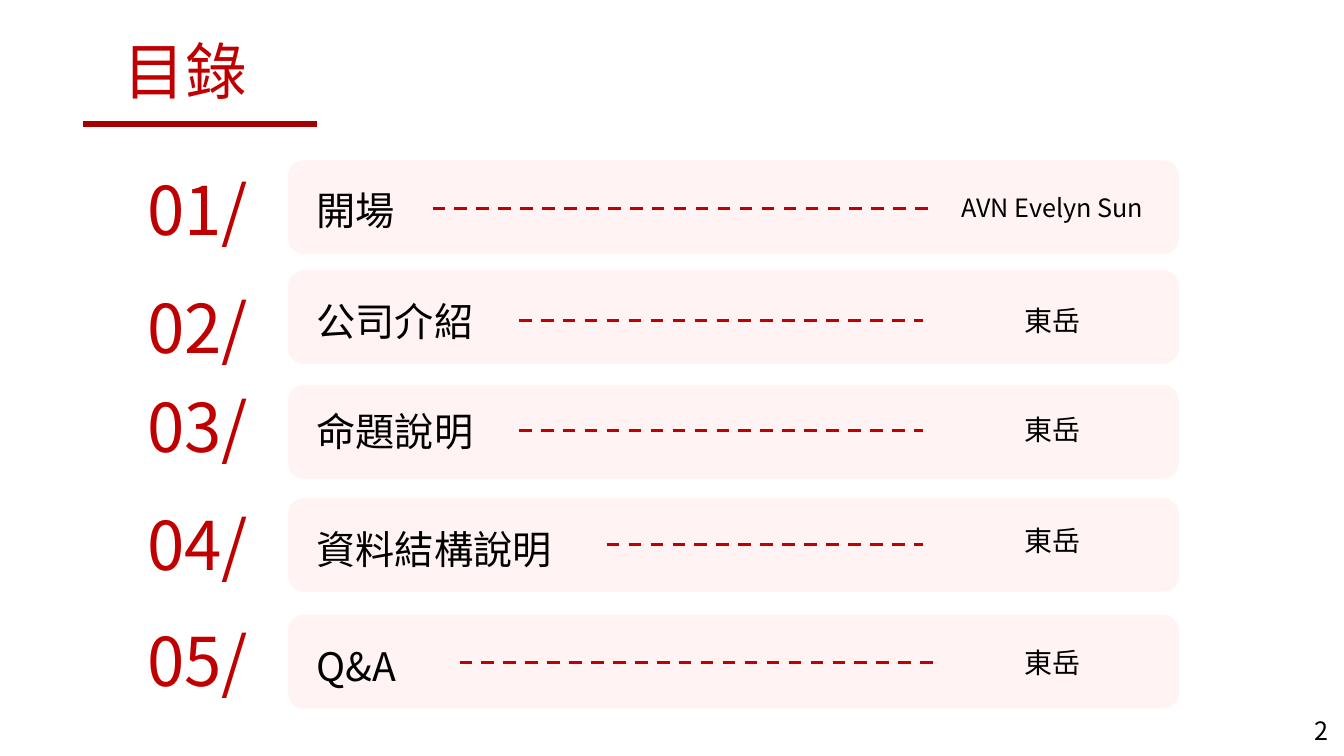
from pptx import Presentation
from pptx.dml.color import RGBColor
from pptx.enum.dml import MSO_LINE
from pptx.enum.shapes import MSO_CONNECTOR, MSO_SHAPE
from pptx.enum.text import MSO_ANCHOR as ANCHOR, MSO_AUTO_SIZE as FIT, PP_ALIGN as ALIGN
from pptx.oxml.ns import qn
from pptx.util import Cm, Pt
from lxml.etree import SubElement

COLORS = {"red": "C00000", "rule": "A60000", "panel": "FFF3F3", "ink": "000000"}
FONT = "Noto Sans CJK SC"

GROWING = {"word_wrap": True, "auto_size": FIT.SHAPE_TO_FIT_TEXT, "vertical_anchor": ANCHOR.TOP}
PADDED = {"word_wrap": True, "auto_size": FIT.NONE, "vertical_anchor": ANCHOR.BOTTOM,
          "margin_left": Cm(0.33), "margin_right": Cm(0.33),
          "margin_top": Cm(0.33), "margin_bottom": Cm(0.33)}
TIGHT = {**GROWING, "margin_left": 0, "margin_right": 0, "margin_top": 0, "margin_bottom": 0}

# topic, speaker, speaker size, speaker alignment,
# tops of panel, number, topic and speaker, then leader y, start and end (cm)
AGENDA = [
    ("開場", "AVN Evelyn Sun", 18, ALIGN.LEFT, 4.04, 3.4, 4.67, 4.72, 5.26, 10.9, 23.6),
    ("公司介紹", "東岳", 20, ALIGN.CENTER, 6.81, 6.38, 7.47, 7.52, 8.08, 13.08, 23.27),
    ("命題說明", "東岳", 20, ALIGN.CENTER, 9.7, 8.86, 10.24, 10.26, 10.85, 13.08, 23.27),
    ("資料結構說明", "東岳", 20, ALIGN.CENTER, 12.55, 11.84, 13.21, 13.06, 13.72, 15.29, 23.27),
    ("Q&A", "東岳", 20, ALIGN.CENTER, 15.49, 14.78, 16.15, 16.15, 16.69, 11.58, 23.6),
]


def rgb(name):
    return RGBColor.from_string(COLORS[name])


class AgendaSlide:
    def __init__(self, deck):
        self.slide = deck.slides.add_slide(deck.slide_layouts[5])
        self.shapes = self.slide.shapes

    def fill_text(self, box, text, size, color, frame_format, align):
        """Fill a text-bearing shape with one formatted run."""
        frame = box.text_frame
        for name, value in frame_format.items():
            setattr(frame, name, value)
        paragraph = frame.paragraphs[0]
        paragraph.alignment = align
        run = paragraph.add_run()
        run.text = text
        for name, value in {"name": FONT, "size": Pt(size), "bold": False}.items():
            setattr(run.font, name, value)
        run.font.color.rgb = rgb(color)
        SubElement(run._r.get_or_add_rPr(), qn("a:ea")).set("typeface", FONT)

    def title(self, text, left, top, width, height):
        heading = self.shapes.title
        place = {"left": left, "top": top, "width": width, "height": height}
        for name, value in place.items():
            setattr(heading, name, Cm(value))
        self.fill_text(heading, text, 44, "red", GROWING, ALIGN.CENTER)

    def text(self, text, place, size, color, frame_format, align=ALIGN.LEFT):
        box = self.shapes.add_textbox(*map(Cm, place))
        self.fill_text(box, text, size, color, frame_format, align)

    def panel(self, left, top, width, height):
        panel = self.shapes.add_shape(MSO_SHAPE.ROUNDED_RECTANGLE,
                                      *map(Cm, (left, top, width, height)))
        panel.shadow.inherit = False
        panel.fill.solid()
        panel.fill.fore_color.rgb = rgb("panel")
        panel.line.fill.background()

    def line(self, start, end, y, color, weight, dash=None):
        line = self.shapes.add_connector(MSO_CONNECTOR.STRAIGHT, Cm(start), Cm(y), Cm(end), Cm(y))
        line.line.color.rgb = rgb(color)
        line.line.width = Pt(weight)
        line.line.dash_style = dash
        SubElement(line._element.spPr, qn("a:effectLst"))


def main():
    deck = Presentation()
    deck.slide_width, deck.slide_height = Cm(33.87), Cm(19.05)
    agenda = AgendaSlide(deck)
    agenda.title("目錄", 1.73, 0.69, 5.89, 2.13)
    agenda.line(2.08, 7.98, 3.12, "rule", 4.5)

    for number, row in enumerate(AGENDA, 1):
        (topic, speaker, size, align, panel_top, number_top, topic_top,
         speaker_top, leader_y, leader_start, leader_end) = row
        agenda.panel(7.26, panel_top, 22.45, 2.36)
        agenda.text(f"{number:02}/", (3.38, number_top, 4.14, 3.2), 48, "red", PADDED)
        agenda.text(topic, (7.65, topic_top, 14.27, 1.55), 28, "ink", PADDED)
        agenda.line(leader_start, leader_end, leader_y, "red", 2.25, MSO_LINE.DASH)
        speaker_width = 5.44 if align == ALIGN.LEFT else 5.08
        agenda.text(speaker, (23.98, speaker_top, speaker_width, 1.1), size, "ink", GROWING, align)

    agenda.text("2", (32.87, 18.03, 0.89, 0.76), 18, "ink", TIGHT, ALIGN.CENTER)
    deck.save("out.pptx")


if __name__ == "__main__":
    main()
